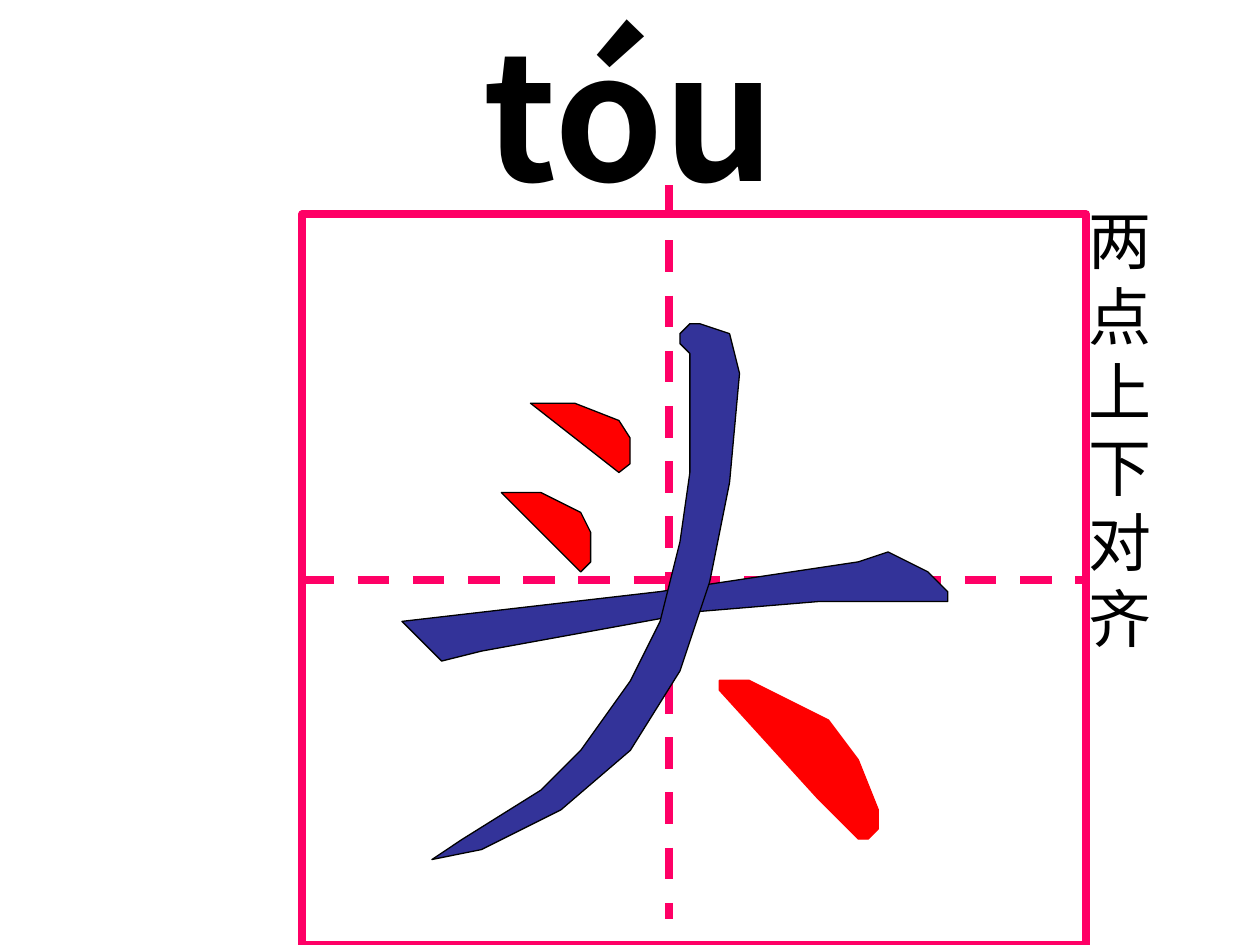
from lxml import etree
from pptx import Presentation
from pptx.dml.color import RGBColor
from pptx.enum.dml import MSO_LINE
from pptx.enum.shapes import MSO_CONNECTOR, MSO_SHAPE
from pptx.enum.text import MSO_ANCHOR, MSO_AUTO_SIZE, PP_ALIGN
from pptx.oxml.ns import qn
from pptx.util import Pt

STRAIGHT = MSO_CONNECTOR.STRAIGHT
RECT = MSO_SHAPE.RECTANGLE
DASH = MSO_LINE.DASH
TOP = MSO_ANCHOR.TOP
LEFT = PP_ALIGN.LEFT
FIXED = MSO_AUTO_SIZE.NONE

BLACK, PINK, RED, BLUE = "000000", "FF0066", "FF0000", "333399"
THIN, THICK = 0.75, 4.5
UNIT = 5.67  # grid step of the brush strokes

DOT = [(0, 0), (1, 0), (4, 0), (6, 1), (8, 2), (9, 4), (9, 6), (9, 7), (8, 8)]
ACROSS = [(0, 7), (26, 4), (46, 1), (49, 0), (53, 2), (55, 4), (55, 5),
          (42, 5), (30, 6), (8, 10), (4, 11)]
SWEEP = [(26, 0), (25, 1), (25, 2), (26, 3), (26, 8), (26, 15), (25, 22),
         (23, 30), (20, 36), (15, 43), (11, 47), (3, 52), (0, 54), (5, 53),
         (13, 49), (20, 43), (25, 35), (28, 26), (30, 16), (31, 5), (30, 1),
         (27, 0)]
PRESS = [(0, 1), (10, 12), (14, 16), (15, 16), (16, 15), (16, 13), (14, 8),
         (11, 4), (7, 2), (3, 0), (0, 0)]


def color(code):
    return RGBColor.from_string(code)


class Board:
    """Holds the style and the current slide."""

    def __init__(self, slide):
        self.slide = slide
        self.shapes = slide.shapes

    def pen(self, shape, code, width):
        shape.line.color.rgb = color(code)
        shape.line.width = Pt(width)

    def letter(self, box, text, font, size, bold=False):
        """Put styled text into a box."""
        frame = box.text_frame
        frame.text = text
        frame.word_wrap = True
        frame.auto_size = FIXED
        frame.vertical_anchor = TOP
        para = frame.paragraphs[0]
        para.alignment = LEFT
        run = para.runs[0].font
        run.name, run.size, run.bold = font, Pt(size), bold
        run.color.rgb = color(BLACK)

    def title(self, text, x, y, w, h):
        box = self.shapes.title
        box.left, box.top, box.width, box.height = Pt(x), Pt(y), Pt(w), Pt(h)
        self.letter(box, text, "Noto Sans CJK SC", 100, True)

    def label(self, text, x, y, w, h):
        box = self.shapes.add_textbox(Pt(x), Pt(y), Pt(w), Pt(h))
        self.letter(box, text, "Arial", 36)

    def frame(self, x, y, w, h):
        box = self.shapes.add_shape(RECT, Pt(x), Pt(y), Pt(w), Pt(h))
        box.shadow.inherit = False
        box.fill.background()
        self.pen(box, PINK, THICK)
        return box

    def line(self, x1, y1, x2, y2, code=PINK, width=THICK, dash=DASH):
        line = self.shapes.add_connector(
            STRAIGHT, Pt(x1), Pt(y1), Pt(x2), Pt(y2))
        self.pen(line, code, width)
        line.line.dash_style = dash
        etree.SubElement(line._element.spPr, qn("a:effectLst"))
        return line

    def stroke(self, points, x, y, fill, edge=BLACK, step=(UNIT, UNIT)):
        """Draw one brush stroke from grid points, with its corner at x, y."""
        scale = tuple(float(Pt(size)) for size in step)
        outline = self.shapes.build_freeform(*points[0], scale=scale)
        outline.add_line_segments(points[1:], close=True)
        shape = outline.convert_to_shape(Pt(x), Pt(y))
        shape.shadow.inherit = False
        shape.fill.solid()
        shape.fill.fore_color.rgb = color(fill)
        self.pen(shape, edge, THIN)


def main():
    deck = Presentation()
    deck.slide_width, deck.slide_height = Pt(720), Pt(540)
    board = Board(deck.slides.add_slide(deck.slide_layouts[5]))

    board.line(133.2, 321.1, 133.2, 321.1, BLACK, THIN, None)
    board.title("tóu", 269.3, 0, 323.3, 127.4)

    square = board.frame(172.8, 122.4, 447.8, 417.6)
    middle = board.line(172.8, 331.2, 620.6, 331.2)
    middle.begin_connect(square, 1)
    middle.end_connect(square, 3)
    board.line(382.3, 105.8, 382.3, 524.9)

    board.stroke(DOT, 286.5, 281.5, RED)
    board.stroke(DOT, 303.1, 230.4, RED, step=(6.32, 4.95))
    board.label("两点上下对齐", 614.9, 111.6, 51.1, 266.4)
    board.stroke(ACROSS, 229.7, 315.4, BLUE)
    board.stroke(SWEEP, 246.8, 185, BLUE)
    board.stroke(PRESS, 411.1, 388.8, RED, RED)

    deck.save("out.pptx")


if __name__ == "__main__":
    main()
